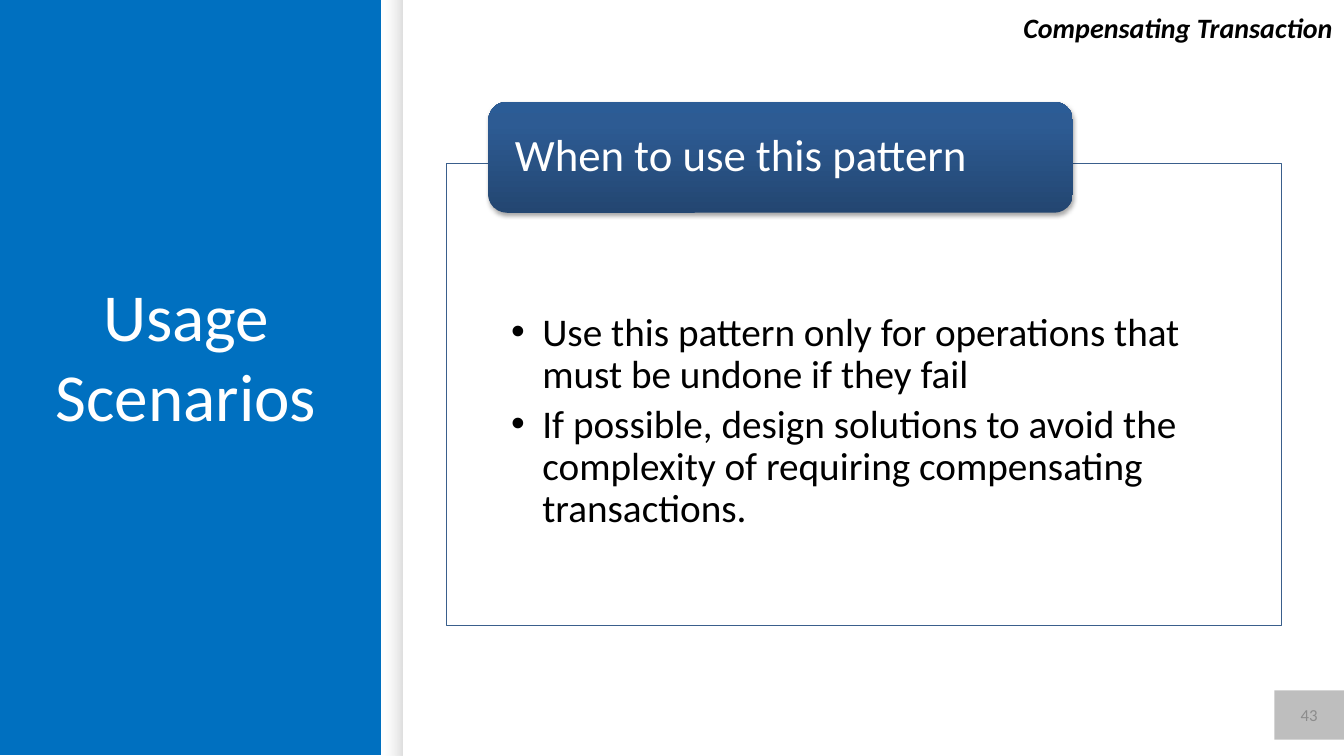
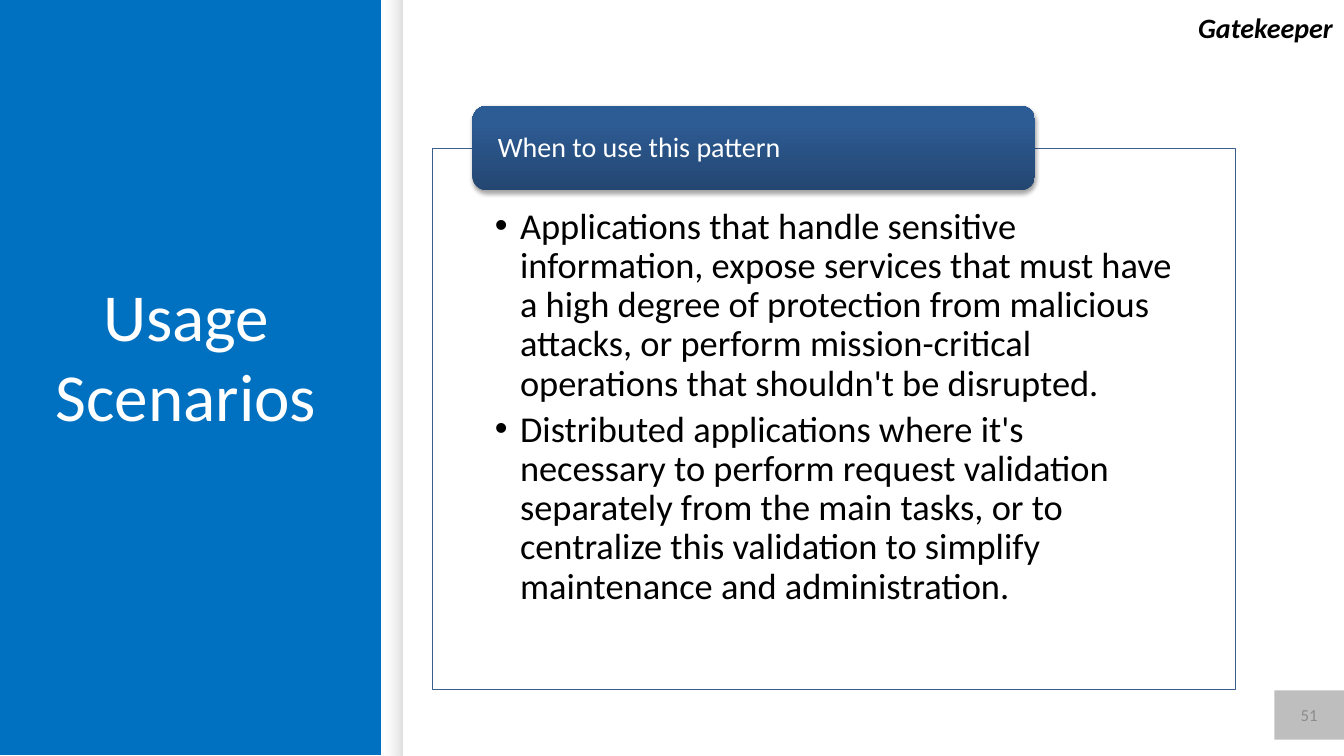
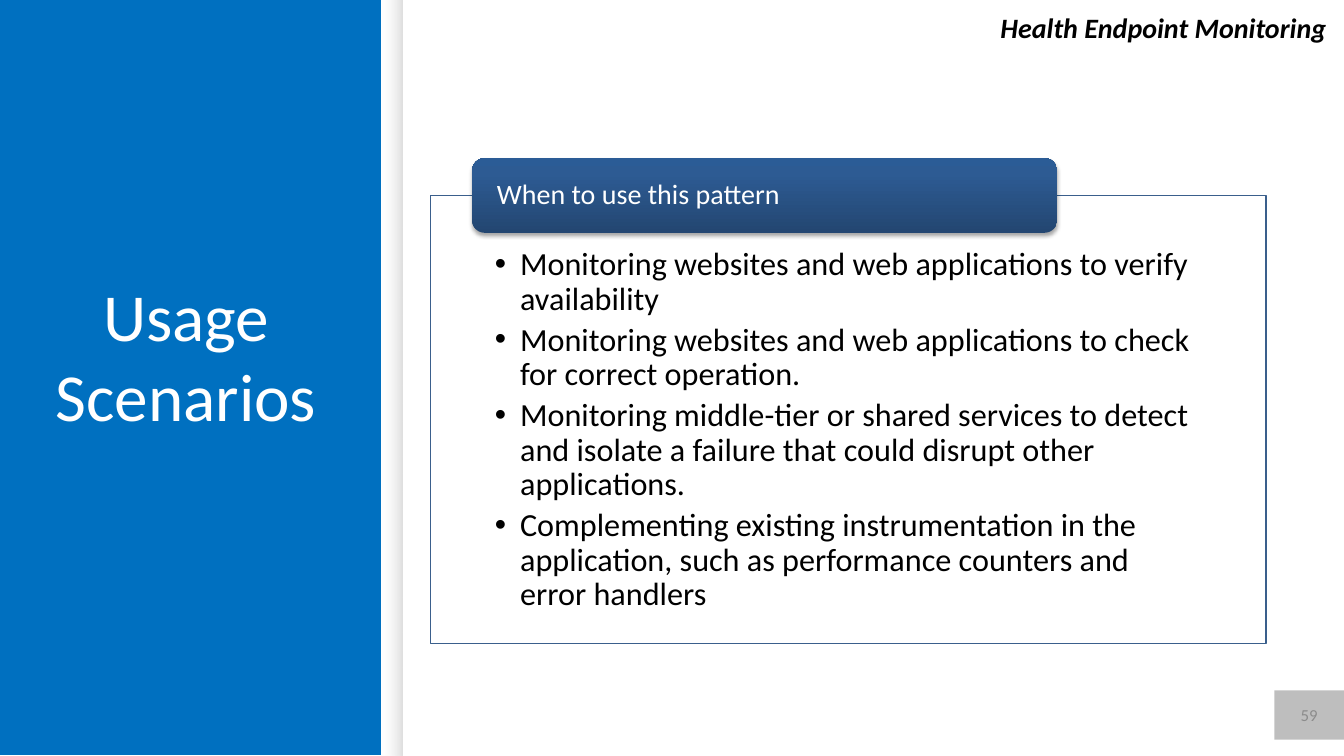
"""Build three usage-scenario slides that share one blue side band and a tabbed panel."""
from dataclasses import dataclass

from lxml import etree
from pptx import Presentation
from pptx import util as u
from pptx.dml.color import RGBColor
from pptx.enum import shapes, text
from pptx.oxml import ns


@dataclass(frozen=True)
class Theme:
    font: str = "Calibri"
    white: str = "FFFFFF"
    black: str = "000000"
    band: str = "0070C0"
    edge: str = "3A5F8C"
    number_fill: str = "7F7F7F"
    number_ink: str = "8C8C8C"
    tab_stops: tuple = ((0, "234671", 100), (80, "2D5B93", 100), (100, "2B5C96", 100))
    fold_stops: tuple = ((0, "000000", 13), (48, "E3E3E3", 0), (66, "FFFFFF", 0))
    title_size: int = 48
    heading_size: int = 20
    number_size: int = 12
    width: float = 13.33
    height: float = 7.5


@dataclass(frozen=True)
class Scenario:
    heading: str
    heading_left: float
    number: str
    panel: tuple
    tab_top: float
    tab_height: float
    tab_size: int
    insets: tuple
    bullet_size: int
    indent: float
    bullets: tuple


THEME = Theme()
BAND_WIDTH = 28.35
RIGHT_EDGE = 99.9
TAB_SHIFT = 0.05
TAB_SHARE = 0.7
NO_INSETS = (0, 0, 0, 0)
TEXT_INSETS = (0.1, 0.05, 0.1, 0.05)
TAB_INSETS = (0.21, 0, 0.21, 0)

SCENARIOS = (
    Scenario(
        "Compensating Transaction", 73.6, "43",
        panel=(33.23, 21.6, 62.12, 61.2), tab_top=13.47, tab_height=14.67, tab_size=32,
        insets=(0.64, 1.48, 0.64, 0.22), bullet_size=28, indent=0.31,
        bullets=(
            "Use this pattern only for operations that must be undone if they fail",
            "If possible, design solutions to avoid the complexity of requiring "
            "compensating transactions.",
        ),
    ),
    Scenario(
        "Gatekeeper", 77.57, "51",
        panel=(32.17, 19.6, 59.78, 71.6), tab_top=14, tab_height=11.2, tab_size=20,
        insets=(0.62, 0.59, 0.62, 0.2), bullet_size=26, indent=0.25,
        bullets=(
            "Applications that handle sensitive information, expose services that must "
            "have a high degree of protection from malicious attacks, or perform "
            "mission-critical operations that shouldn't be disrupted.",
            "Distributed applications where it's necessary to perform request validation "
            "separately from the main tasks, or to centralize this validation to simplify "
            "maintenance and administration.",
        ),
    ),
    Scenario(
        "Health Endpoint Monitoring ", 72.32, "59",
        panel=(32.02, 25.87, 62.18, 59.2), tab_top=20.93, tab_height=9.87, tab_size=20,
        insets=(0.64, 0.52, 0.64, 0.18), bullet_size=23, indent=0.25,
        bullets=(
            "Monitoring websites and web applications to verify availability",
            "Monitoring websites and web applications to check for correct operation.",
            "Monitoring middle-tier or shared services to detect and isolate a failure "
            "that could disrupt other applications.",
            "Complementing existing instrumentation in the application, such as "
            "performance counters and error handlers",
        ),
    ),
)


def place(left, top, width, height):
    """Turn percentages of the slide into lengths."""
    return (u.Inches(left * THEME.width / 100), u.Inches(top * THEME.height / 100),
            u.Inches(width * THEME.width / 100), u.Inches(height * THEME.height / 100))


def add_element(parent, tag, **attributes):
    """Append a drawing element with the given attributes."""
    element = etree.SubElement(parent, ns.qn(tag))
    for name, value in attributes.items():
        element.set(name, str(value))
    return element


def add_colour(parent, colour, opacity):
    """Append a colour with an opacity in percent."""
    element = add_element(parent, "a:srgbClr", val=colour)
    if opacity < 100:
        add_element(element, "a:alpha", val=opacity * 1000)


def add_block(page, area, fill=None, opacity=100, line=None,
              kind=shapes.MSO_SHAPE.RECTANGLE):
    """Add a preset shape with a plain fill and an optional outline."""
    box = page.shapes.add_shape(kind, *place(*area))
    box.shadow.inherit = False
    if fill:
        box.fill.solid()
        box.fill.fore_color.rgb = RGBColor.from_string(fill)
        if opacity < 100:
            colour = box.fill._xPr.find(ns.qn("a:solidFill"))[0]
            add_element(colour, "a:alpha", val=opacity * 1000)
    if line:
        box.line.color.rgb = RGBColor.from_string(line)
        box.line.width = u.Pt(0.75)
    else:
        box.line.fill.background()
    return box


def set_gradient(box, stops, angle):
    """Give a shape a linear gradient of any number of stops."""
    properties = box._element.spPr
    gradient = etree.Element(ns.qn("a:gradFill"))
    gradient.set("rotWithShape", "1")
    stop_list = add_element(gradient, "a:gsLst")
    for position, colour, opacity in stops:
        add_colour(add_element(stop_list, "a:gs", pos=position * 1000), colour, opacity)
    add_element(gradient, "a:lin", ang=angle * 60000, scaled=0)
    properties.find(ns.qn("a:prstGeom")).addnext(gradient)


def set_shadow(box):
    """Drop a soft shadow straight below a shape."""
    effects = box._element.spPr.find(ns.qn("a:effectLst"))
    shadow = add_element(effects, "a:outerShdw", blurRad=u.Pt(3.1), dist=u.Pt(1.8),
                         dir=90 * 60000, rotWithShape=0)
    add_colour(shadow, THEME.black, 35)


def set_bullet(para, indent):
    """Give a paragraph a round bullet and a hanging indent."""
    properties = para._p.get_or_add_pPr()
    properties.set("marL", str(u.Inches(indent)))
    properties.set("indent", str(-u.Inches(indent)))
    add_element(properties, "a:buFont", typeface="Arial")
    add_element(properties, "a:buChar", char="•")


def write(box, *lines, size, colour=THEME.black, align=text.PP_ALIGN.LEFT,
          anchor=text.MSO_ANCHOR.TOP, insets=TEXT_INSETS, bold=False, italic=False,
          spacing=1.0, after=0, indent=None):
    """Write paragraphs into a shape in one format."""
    frame = box.text_frame
    frame.word_wrap = True
    frame.vertical_anchor = anchor
    (frame.margin_left, frame.margin_top,
     frame.margin_right, frame.margin_bottom) = map(u.Inches, insets)
    for index, line in enumerate(lines):
        para = frame.add_paragraph() if index else frame.paragraphs[0]
        para.alignment = align
        para.line_spacing = spacing
        para.space_after = u.Pt(after)
        if indent:
            set_bullet(para, indent)
        span = para.add_run()
        span.text = line
        span.font.name = THEME.font
        span.font.size = u.Pt(size)
        span.font.bold = bold
        span.font.italic = italic
        span.font.color.rgb = RGBColor.from_string(colour)


def add_frame(page, number):
    """Draw the side band, fold shading, title and page number."""
    add_block(page, (0, 0, BAND_WIDTH, 99.87), THEME.band)
    add_block(page, (BAND_WIDTH, 0, 100 - BAND_WIDTH, 100), THEME.white)
    fold = add_block(page, (0.15, 47.07, 56.41, 5.6))
    fold.rotation = 90
    set_gradient(fold, THEME.fold_stops, 90)
    badge = add_block(page, (94.82, 91.33, 5.18, 6.53), THEME.number_fill, opacity=50)
    write(badge, number, size=THEME.number_size, colour=THEME.number_ink,
          align=text.PP_ALIGN.CENTER, anchor=text.MSO_ANCHOR.MIDDLE)
    title = page.shapes.add_textbox(*place(2.18, 35.6, 23.33, 28.53))
    write(title, "Usage Scenarios", size=THEME.title_size, colour=THEME.white,
          align=text.PP_ALIGN.CENTER)


def add_panel(page, scenario):
    """Draw the outlined bullet panel and the tab on its top edge."""
    left, _, width, _ = scenario.panel
    panel = add_block(page, scenario.panel, THEME.white, opacity=90, line=THEME.edge)
    write(panel, *scenario.bullets, size=scenario.bullet_size, insets=scenario.insets,
          spacing=0.9, after=round(scenario.bullet_size * 0.18, 1), indent=scenario.indent)
    tab_area = (left + width * TAB_SHIFT, scenario.tab_top,
                width * TAB_SHARE, scenario.tab_height)
    tab = add_block(page, tab_area, kind=shapes.MSO_SHAPE.ROUNDED_RECTANGLE)
    set_gradient(tab, THEME.tab_stops, 270)
    set_shadow(tab)
    write(tab, "When to use this pattern", size=scenario.tab_size, colour=THEME.white,
          anchor=text.MSO_ANCHOR.MIDDLE, insets=TAB_INSETS, spacing=0.9)


def add_heading(page, scenario):
    """Write the pattern name at the top right."""
    left = scenario.heading_left
    heading = page.shapes.add_textbox(*place(left, 0.8, RIGHT_EDGE - left, 5.87))
    write(heading, scenario.heading, size=THEME.heading_size, bold=True, italic=True,
          align=text.PP_ALIGN.RIGHT, after=6)


def main():
    """Build and save the deck."""
    deck = Presentation()
    deck.slide_width = u.Inches(THEME.width)
    deck.slide_height = u.Inches(THEME.height)
    blank = deck.slide_layouts[6]
    for scenario in SCENARIOS:
        page = deck.slides.add_slide(blank)
        add_frame(page, scenario.number)
        add_panel(page, scenario)
        add_heading(page, scenario)
    deck.save("out.pptx")


if __name__ == "__main__":
    main()
